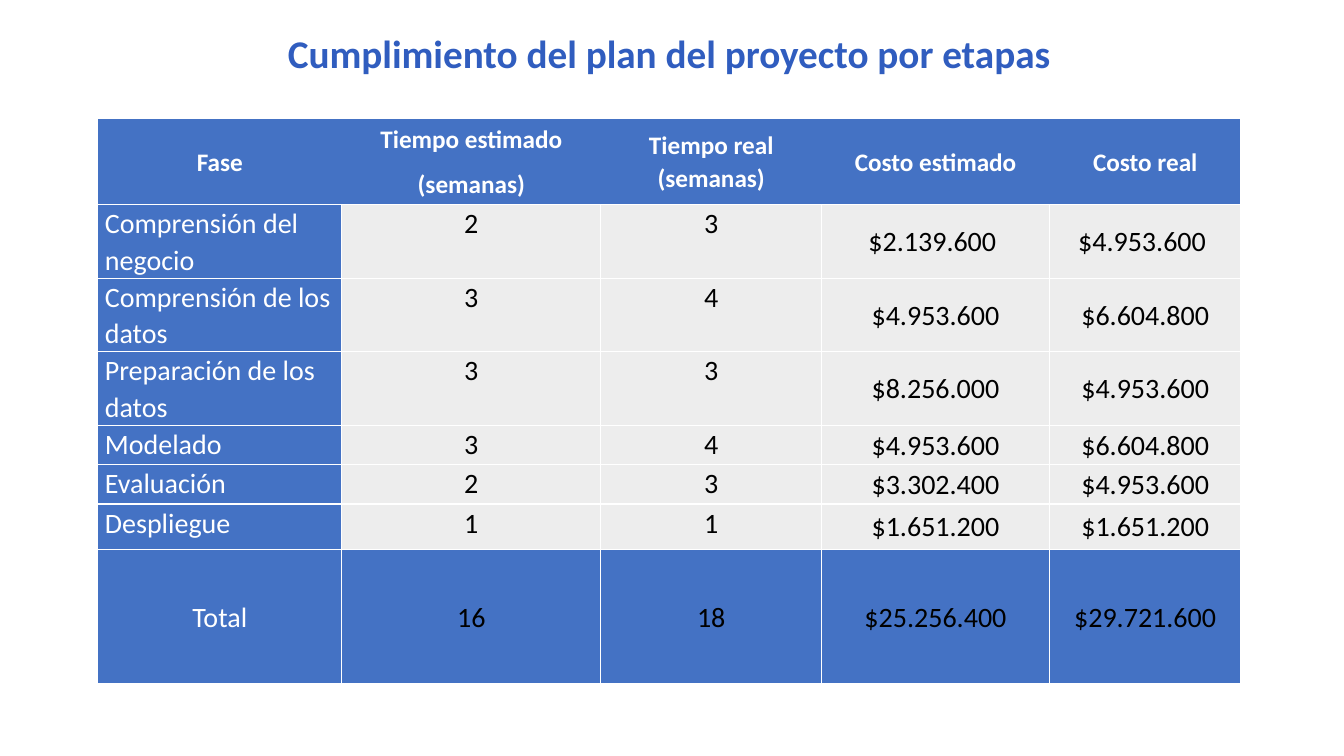
import dataclasses

import pptx
import pptx.dml.color
import pptx.enum.text
import pptx.oxml
import pptx.oxml.ns
import pptx.util

Inches = pptx.util.Inches
Pt = pptx.util.Pt
Align = pptx.enum.text.PP_ALIGN
Anchor = pptx.enum.text.MSO_ANCHOR

COLORS = {
    "title": "305DBF",
    "blue": "4472C4",
    "gray": "EDEDED",
    "white": "FFFFFF",
    "black": "000000",
}
FONT = "Calibri"
LEFT, WIDTH = 0.97, 11.33
COLUMN_WIDTHS = [2.42, 2.57, 2.19, 2.26, 1.9]
ROW_HEIGHTS = [0.86, 0.73, 0.73, 0.73, 0.39, 0.39, 0.45, 1.33]


@dataclasses.dataclass(frozen=True)
class CellStyle:
    fill: str = "blue"
    color: str = "white"
    size: int = 20
    bold: bool = False
    align: Align = Align.CENTER
    anchor: Anchor = Anchor.MIDDLE
    side: float = 0.07
    top: float = 0
    line_spacing: float = 1.07
    space_after: int = 8


HEADER = CellStyle(size=18, bold=True)
PHASE = CellStyle(align=Align.LEFT, anchor=Anchor.TOP)
WEEKS = CellStyle(fill="gray", color="black", anchor=Anchor.TOP)
COST = CellStyle(fill="gray", color="black", side=0.01, top=0.01,
                 line_spacing=1, space_after=0)
TOTAL_LABEL = CellStyle()
TOTAL = CellStyle(color="black")

ROW_STYLES = (
    [[HEADER] * 5]
    + [[PHASE, WEEKS, WEEKS, COST, COST]] * 6
    + [[TOTAL_LABEL] + [TOTAL] * 4]
)
ROWS = [
    ["Fase", "Tiempo\u00a0estimado\n(semanas)", "Tiempo real (semanas)",
     "Costo estimado", "Costo real"],
    ["Comprensión del negocio\u00a0", "2", "3", "$2.139.600 ", "$4.953.600 "],
    ["Comprensión de los datos\u00a0", "3", "4", "$4.953.600", "$6.604.800"],
    ["Preparación de los datos\u00a0", "3", "3", "$8.256.000", "$4.953.600"],
    ["Modelado\u00a0", "3", "4", "$4.953.600", "$6.604.800"],
    ["Evaluación\u00a0", "2", "3", "$3.302.400", "$4.953.600"],
    ["Despliegue\u00a0", "1", "1", "$1.651.200", "$1.651.200"],
    ["Total", "16", "18", "$25.256.400", "$29.721.600"],
]


def rgb(name: str) -> pptx.dml.color.RGBColor:
    return pptx.dml.color.RGBColor.from_string(COLORS[name])


def write_text(frame, text: str, *, size: int, color: str, bold: bool,
               align: Align, line_spacing: float = 1, space_after: int = 0) -> None:
    frame.text = text
    for para in frame.paragraphs:
        para.alignment = align
        para.line_spacing = line_spacing
        para.space_before = Pt(0)
        para.space_after = Pt(space_after)
        for span in para.runs:
            span.font.name = FONT
            span.font.size = Pt(size)
            span.font.bold = bold
            span.font.color.rgb = rgb(color)


def draw_borders(cell, hidden_edges: str) -> None:
    properties = cell._tc.get_or_add_tcPr()
    for edge in "LRTB":
        paint = (
            "<a:noFill/>" if edge in hidden_edges
            else f'<a:solidFill><a:srgbClr val="{COLORS["white"]}"/></a:solidFill>'
        )
        properties.append(pptx.oxml.parse_xml(
            f'<a:ln{edge} {pptx.oxml.ns.nsdecls("a")} w="{Pt(1)}">{paint}</a:ln{edge}>'
        ))


def format_cell(cell, text: str, style: CellStyle, hidden_edges: str) -> None:
    draw_borders(cell, hidden_edges)
    cell.fill.solid()
    cell.fill.fore_color.rgb = rgb(style.fill)
    cell.vertical_anchor = style.anchor
    cell.margin_left = cell.margin_right = Inches(style.side)
    cell.margin_top = Inches(style.top)
    cell.margin_bottom = Inches(0)
    write_text(cell.text_frame, text, size=style.size, color=style.color,
               bold=style.bold, align=style.align,
               line_spacing=style.line_spacing, space_after=style.space_after)


def header_hidden_edges(column: int) -> str:
    left = "L" if column > 0 else ""
    right = "R" if column < len(COLUMN_WIDTHS) - 1 else ""
    return left + right


def add_title(page, text: str) -> None:
    title = page.shapes.title
    title.left, title.top = Inches(LEFT), Inches(0.13)
    title.width, title.height = Inches(WIDTH), Inches(0.84)
    frame = title.text_frame
    frame.word_wrap = True
    frame.auto_size = pptx.enum.text.MSO_AUTO_SIZE.NONE
    frame.vertical_anchor = Anchor.MIDDLE
    frame.margin_left = frame.margin_right = Inches(0.13)
    frame.margin_top = frame.margin_bottom = Inches(0.13)
    write_text(frame, text, size=28, color="title", bold=True,
               align=Align.CENTER, line_spacing=0.9)


def add_plan_table(page) -> None:
    table = page.shapes.add_table(
        len(ROWS), len(COLUMN_WIDTHS),
        Inches(LEFT), Inches(1.17), Inches(WIDTH), Inches(5.6),
    ).table
    table.horz_banding = False
    for column, width in zip(table.columns, COLUMN_WIDTHS):
        column.width = Inches(width)
    for row, height in zip(table.rows, ROW_HEIGHTS):
        row.height = Inches(height)
    for row, (texts, styles) in enumerate(zip(ROWS, ROW_STYLES)):
        for column, (text, style) in enumerate(zip(texts, styles)):
            hidden_edges = header_hidden_edges(column) if row == 0 else ""
            format_cell(table.cell(row, column), text, style, hidden_edges)


deck = pptx.Presentation()
deck.slide_width, deck.slide_height = Inches(13.33), Inches(7.5)
page = deck.slides.add_slide(deck.slide_layouts[5])
add_title(page, "Cumplimiento del plan del proyecto por etapas")
add_plan_table(page)
deck.save("out.pptx")
